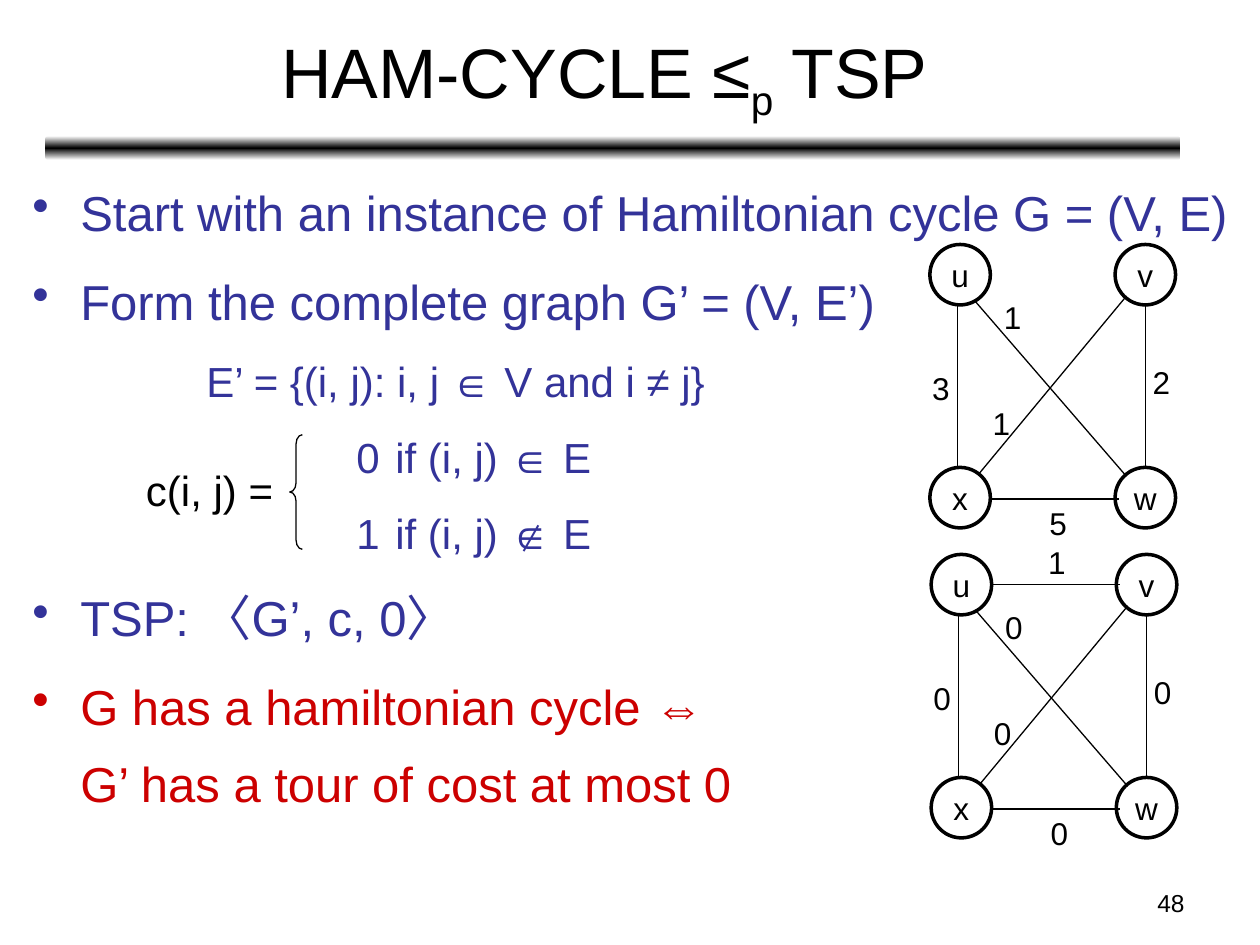
from pptx import Presentation
from pptx.dml.color import RGBColor
from pptx.enum.shapes import MSO_CONNECTOR, MSO_SHAPE
from pptx.enum.text import MSO_ANCHOR, PP_ALIGN
from pptx.oxml.ns import qn
from pptx.util import Inches, Pt
from lxml import etree

OVAL, BRACE, BAR = MSO_SHAPE.OVAL, MSO_SHAPE.LEFT_BRACE, MSO_SHAPE.ROUNDED_RECTANGLE
STRAIGHT, MIDDLE, TOP = MSO_CONNECTOR.STRAIGHT, MSO_ANCHOR.MIDDLE, MSO_ANCHOR.TOP
LEFT, CENTER, RIGHT = PP_ALIGN.LEFT, PP_ALIGN.CENTER, PP_ALIGN.RIGHT

THEME = {
    "font": "Arial", "black": "000000", "white": "FFFFFF", "blue": "333399", "red": "CC0000",
    "title": 40, "body": 28, "formula": 24, "graph": 18, "number": 14,
    "edge": 0.75, "ring": 2,
}

# Content
TITLE = [("HAM-CYCLE ≤", 0), ("p", -25000), (" TSP ", 0)]
HANG, CASE = (0.38, -0.38), (2.38, 0.19)  # left margin, first-line indent
BODY = [  # lines, size, colour, indents, bulleted
    (["Start with an instance of Hamiltonian cycle G = (V, E)"], "body", "blue", HANG, True),
    (["Form the complete graph G’ = (V, E’)"], "body", "blue", HANG, True),
    (["E’ = {(i, j): i, j ∈ V and i ≠ j}"], "formula", "blue", (1.38, 0), False),
    (["0\tif (i, j) ∈ E"], "formula", "blue", CASE, False),
    (["1\tif (i, j) ∉ E"], "formula", "blue", CASE, False),
    (["TSP: 〈G’, c, 0〉"], "body", "blue", HANG, True),
    (["G has a hamiltonian cycle ⇔", "G’ has a tour of cost at most 0"], "body", "red", HANG, True),
]

# Graph geometry, measured from the top left of node u
NODE, COLUMN, ROW = 0.48, 1.47, 1.77
NODES = {"u": (0, 0), "v": (1, 0), "x": (0, 1), "w": (1, 1)}
EDGES = {  # line start, line end, label corner
    "uv": ((0.47, 0.24), (1.5, 0.24), (0.83, -0.14)),
    "xw": ((0.47, 2.02), (1.5, 2.02), (0.85, 2.01)),
    "ux": ((0.22, 0.47), (0.22, 1.77), (-0.08, 0.94)),
    "vw": ((1.71, 0.47), (1.71, 1.77), (1.67, 0.89)),
    "uw": ((0.35, 0.44), (1.56, 1.84), (0.49, 0.38)),
    "vx": ((1.56, 0.41), (0.39, 1.82), (0.4, 1.22)),
}
GRAPHS = [
    ((7.38, 1.94), {"xw": "5", "ux": "3", "vw": "2", "vx": "1", "uw": "1"}),
    ((7.39, 4.4), {"uv": "1", "xw": "0", "ux": "0", "vw": "0", "vx": "0", "uw": "0"}),
]


def color(name):
    return RGBColor.from_string(THEME[name])


def add_run(paragraph, text, size, tint="black"):
    run = paragraph.add_run()
    run.text = text
    run.font.name, run.font.size = THEME["font"], Pt(THEME[size])
    run.font.color.rgb = color(tint)
    return run


def add_box(slide, box, align=LEFT, anchor=TOP, wrap=True):
    frame = slide.shapes.add_textbox(*map(Inches, box)).text_frame
    frame.word_wrap, frame.vertical_anchor = wrap, anchor
    frame.paragraphs[0].alignment = align
    return frame


def add_shape(slide, kind, box):
    shape = slide.shapes.add_shape(kind, *map(Inches, box))
    shape.shadow.inherit = False
    return shape


def set_line(line, width):
    line.color.rgb, line.width = color("black"), Pt(THEME[width])


def add_rule(slide):
    rule = add_shape(slide, BAR, (0.36, 1.08, 9.01, 0.19))
    rule.line.fill.background()
    rule.fill.gradient()
    rule.fill.gradient_angle = 90
    stops = rule.fill._fill._gradFill.find(qn("a:gsLst"))
    for stop in list(stops):
        stops.remove(stop)
    for position, name in ((0, "white"), (50000, "black"), (100000, "white")):
        stop = etree.SubElement(stops, qn("a:gs"), pos=str(position))
        etree.SubElement(stop, qn("a:srgbClr"), val=THEME[name])


def add_body(slide):
    frame = add_box(slide, (0.16, 1.26, 9.84, 5.92))
    for index, (lines, size, tint, (margin, indent), bulleted) in enumerate(BODY):
        paragraph = frame.add_paragraph() if index else frame.paragraphs[0]
        properties = paragraph._p.get_or_add_pPr()
        properties.set("marL", str(Inches(margin)))
        properties.set("indent", str(Inches(indent)))
        if bulleted:
            etree.SubElement(properties, qn("a:buChar"), char="•")
        paragraph.line_spacing = 1.3
        paragraph.space_before = Pt(THEME[size] // 4 if index else 0)
        for number, line in enumerate(lines):
            if number:
                paragraph.add_line_break()
            add_run(paragraph, line, size, tint)


def add_graph(slide, left, top, costs):
    for name, (column, row) in NODES.items():
        node = add_shape(slide, OVAL, (left + column * COLUMN, top + row * ROW, NODE, NODE))
        node.fill.solid()
        node.fill.fore_color.rgb = color("white")
        set_line(node.line, "ring")
        frame = node.text_frame
        frame.word_wrap, frame.vertical_anchor = False, MIDDLE
        frame.paragraphs[0].alignment = CENTER
        add_run(frame.paragraphs[0], name, "graph")
    for name, cost in costs.items():
        (x1, y1), (x2, y2), (label_x, label_y) = EDGES[name]
        ends = (left + x1, top + y1, left + x2, top + y2)
        edge = slide.shapes.add_connector(STRAIGHT, *map(Inches, ends))
        set_line(edge.line, "edge")
        etree.SubElement(edge._element.spPr, qn("a:effectLst"))
        label = add_box(slide, (left + label_x, top + label_y, 0.34, 0.4), wrap=False)
        add_run(label.paragraphs[0], cost, "graph")


def main():
    presentation = Presentation()
    presentation.slide_width, presentation.slide_height = Inches(10), Inches(7.5)
    slide = presentation.slides.add_slide(presentation.slide_layouts[6])

    # Heading, rule and page number
    add_rule(slide)
    number = add_box(slide, (7.17, 7, 2.33, 0.35), RIGHT)
    add_run(number.paragraphs[0], "48", "number")
    title = add_box(slide, (0.37, 0.11, 9, 0.99), CENTER, MIDDLE)
    for text, baseline in TITLE:
        run = add_run(title.paragraphs[0], text, "title")
        if baseline:
            run.font._element.set("baseline", str(baseline))

    # Reduction steps and cost function
    add_body(slide)
    brace = add_shape(slide, BRACE, (2.3, 3.45, 0.1, 0.91))
    brace.adjustments[0] = 0.73
    brace.fill.background()
    set_line(brace.line, "edge")
    cost = add_box(slide, (1.06, 3.64, 1.21, 0.5), wrap=False)
    add_run(cost.paragraphs[0], "c(i, j) =", "formula")

    # Weighted graphs
    for (left, top), costs in GRAPHS:
        add_graph(slide, left, top, costs)

    presentation.save("out.pptx")


if __name__ == "__main__":
    main()
